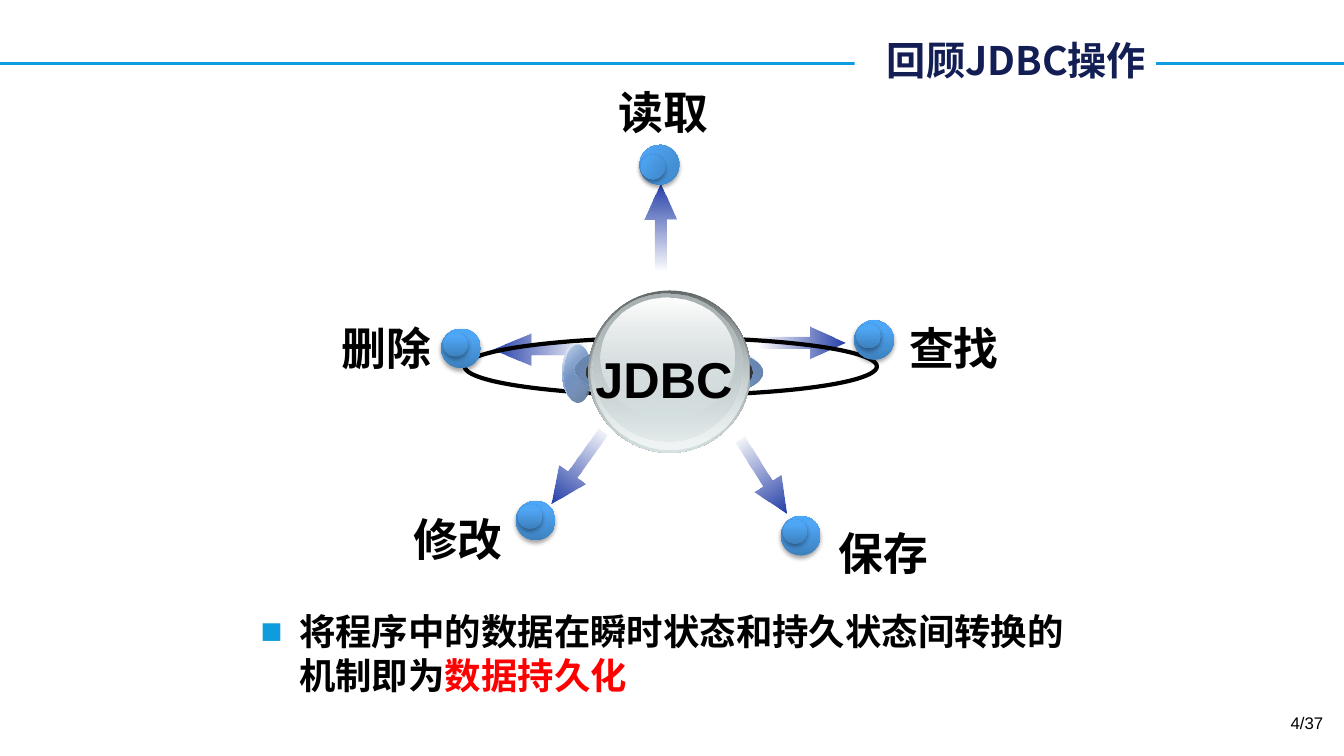
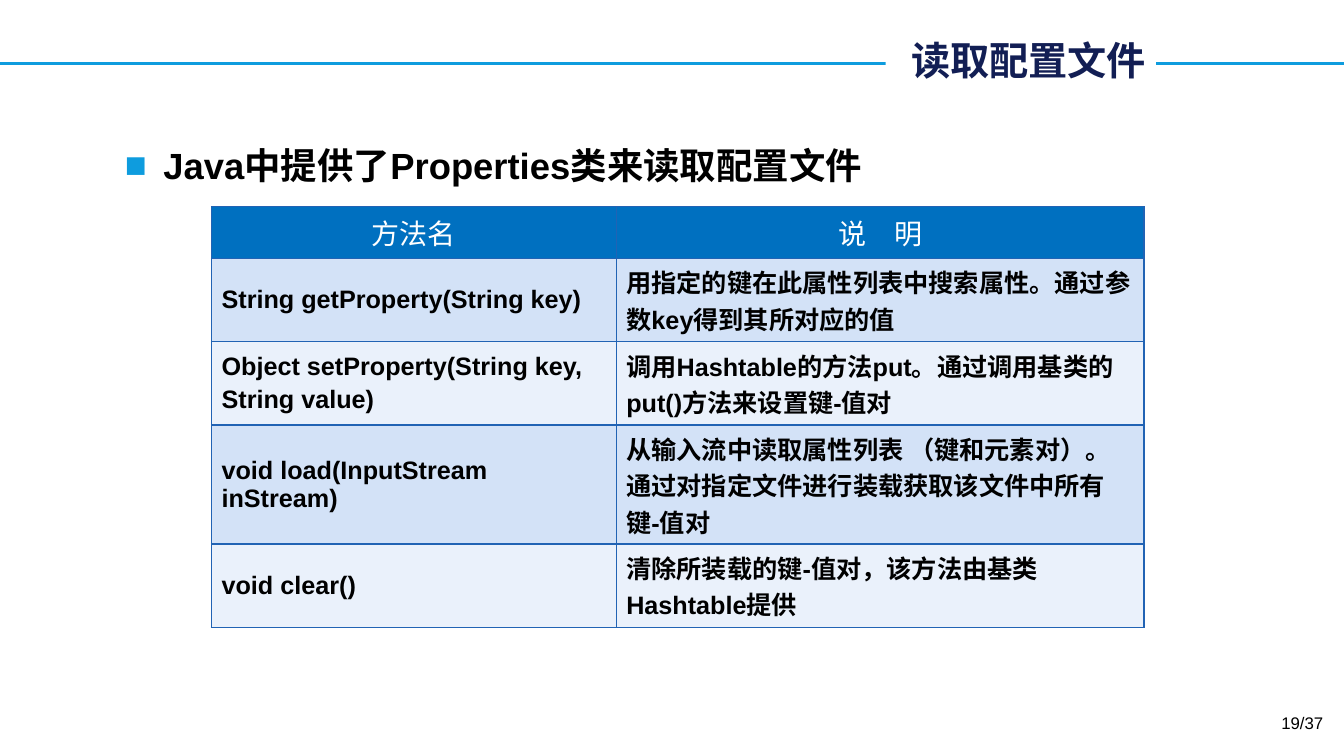
"""Build two slides on data storage in Java."""
from dataclasses import dataclass
from math import cos, radians, sin

from lxml import etree
from pptx import Presentation
from pptx.dml.color import RGBColor
from pptx.enum.shapes import MSO_CONNECTOR, MSO_SHAPE
from pptx.enum.text import MSO_ANCHOR, PP_ALIGN
from pptx.oxml.ns import qn
from pptx.util import Cm, Pt

LEFT, CENTER, RIGHT = PP_ALIGN.LEFT, PP_ALIGN.CENTER, PP_ALIGN.RIGHT
TOP, MIDDLE = MSO_ANCHOR.TOP, MSO_ANCHOR.MIDDLE
OVAL, ARROW = MSO_SHAPE.OVAL, MSO_SHAPE.RIGHT_ARROW
STRAIGHT = MSO_CONNECTOR.STRAIGHT


@dataclass(frozen=True)
class Theme:
    """Hold the colours, fonts and type sizes."""
    black: str = "000000"
    white: str = "FFFFFF"
    red: str = "FF0000"
    sky: str = "0E9CDE"
    navy: str = "121E54"
    head: str = "0070C0"
    edge: str = "2163B4"
    bands: tuple = ("D3E2F7", "EAF1FB")
    beam: tuple = ((0, "213AA1", 0), (100, "233DA9"))
    ball: tuple = ((0, "3D80BD"), (80, "4FA6F5"), (100, "4CA7F9"))
    latin: str = "Arial"
    asian: str = "Noto Sans CJK SC"
    hub: int = 36
    label: int = 32
    title: int = 28
    body: int = 26
    top: int = 20
    cell: int = 18
    foot: int = 12


THEME = Theme()
WIDE, HIGH = 33.87, 19.05
BALL, CORE = 1.0, 0.62
BEAM = 0.81

SPOKES = (
    ("删除", (8.33, 7.87), RIGHT, (11.62, 8.78), 0, (13.61, 8.81), 2.39, 180),
    ("修改", (10.13, 12.67), RIGHT, (13.5, 13.12), 0, (14.54, 11.79), 2.21, 125.6),
    ("读取", (15.34, 1.93), LEFT, (16.62, 4.15), 304.9, (16.65, 5.74), 2.21, 270),
    ("查找", (22.66, 7.87), LEFT, (22.03, 8.57), 0, (20.21, 8.64), 2.21, 0),
    ("保存", (20.88, 13.03), LEFT, (20.18, 13.5), 0, (19.24, 12.01), 2.21, 57.8),
)

ORBS = (
    ((14.17, 8.66, 0.71, 1.45), 45, ((0, "FFFFFF"), (50, "7DA0D3"), (100, "FFFFFF"))),
    ((14.2, 8.69, 0.71, 1.45), 45, ((0, "7DA0D3", 32), (100, "597297"))),
    ((14.53, 8.66, 4.7, 1.45), 315, ((0, "607BA2"), (50, "7DA0D3"), (100, "607BA2"))),
    ((14.48, 8.59, 4.7, 1.45), 45, ((0, "6783AD"), (100, "7DA0D3", 0))),
    ((14.76, 8.66, 4.22, 1.45), 0, ((0, "333333"), (100, "333333"))),
    ((14.83, 7.32, 4.09, 4.09), 90, ((0, "636869"), (100, "D6E1E2"))),
    ((14.88, 7.34, 3.99, 3.99), 90, ((0, "D6E1E2", 0), (100, "F1F5F5"))),
    ((14.94, 7.39, 3.78, 3.73), 90, ((0, "AAB2B3"), (100, "D6E1E2", 48))),
    ((15.14, 7.49, 3.38, 3.02), 90, ((0, "FFFFFF"), (100, "D6E1E2", 38))),
)

ROWS = (
    (("方法名",), ("说　明",), 1.3),
    (("String getProperty(String key)",),
     ("用指定的键在此属性列表中搜索属性。通过参数key得到其所对应的值",), 2.1),
    (("Object setProperty(String key,", "String value)"),
     ("调用Hashtable的方法put。通过调用基类的put()方法来设置键-值对",), 2.1),
    (("void load(InputStream inStream)",),
     ("从输入流中读取属性列表 （键和元素对）。通过对指定文件进行装载获取该文件中所有键-值对",), 3),
    (("void clear()",),
     ("清除所装载的键-值对，该方法由基类Hashtable提供",), 2.1),
)


def node(parent, tag, **attrs):
    """Add a drawing element and return it."""
    item = etree.SubElement(parent, qn("a:" + tag))
    for key, value in attrs.items():
        item.set(key, str(value))
    return item


def tint(parent, color, alpha=100):
    """Add a colour with its opacity in percent."""
    item = node(parent, "srgbClr", val=color)
    if alpha < 100:
        node(item, "alpha", val=alpha * 1000)


def write(para, text, size, color, bold=True, font=THEME.latin):
    """Add one run of text."""
    run = para.add_run()
    run.text = text
    run.font.size = Pt(size)
    run.font.bold = bold
    run.font.color.rgb = RGBColor.from_string(color)
    run.font.name = font
    node(run._r.get_or_add_rPr(), "ea", typeface=THEME.asian)


def box(slide, frame, align=LEFT, wrap=True, anchor=TOP, lead=None):
    """Add a text box and return it with its paragraph."""
    shape = slide.shapes.add_textbox(*map(Cm, frame))
    text = shape.text_frame
    text.word_wrap = wrap
    text.vertical_anchor = anchor
    para = text.paragraphs[0]
    para.alignment = align
    if lead:
        para.line_spacing = Pt(lead)
    return shape, para


def form(slide, kind, frame, stops=None, angle=0, turn=0):
    """Add a shape with a gradient or no fill, and no line."""
    shape = slide.shapes.add_shape(kind, *map(Cm, frame))
    shape.shadow.inherit = False
    shape.rotation = turn
    shape.line.fill.background()
    if not stops:
        shape.fill.background()
        return shape
    shape.fill.gradient()
    shape.fill.gradient_angle = -angle % 360
    chain = shape._element.spPr.find(".//" + qn("a:gsLst"))
    for old in list(chain):
        chain.remove(old)
    for place, *color in stops:
        tint(node(chain, "gs", pos=place * 1000), *color)
    return shape


def ring(slide, frame):
    """Add the black orbit."""
    shape = form(slide, OVAL, frame)
    shape.line.color.rgb = RGBColor.from_string(THEME.black)
    shape.line.width = Pt(3)


def beam(slide, mid, length, turn):
    """Add a fading arrow around its centre."""
    frame = (mid[0] - length / 2, mid[1] - BEAM / 2, length, BEAM)
    shape = form(slide, ARROW, frame, THEME.beam, 0, turn)
    shape.adjustments[0] = 0.35
    shape.adjustments[1] = 0.41 * length / BEAM


def ball(slide, mid, turn):
    """Add a ball with its core, turned as one."""
    arc = radians(turn)
    shift = (-0.14 * cos(arc) + 0.1 * sin(arc), -0.14 * sin(arc) - 0.1 * cos(arc))
    for size, part in ((BALL, (0, 0)), (CORE, shift)):
        spot = [at + move - size / 2 for at, move in zip(mid, part)]
        shape = form(slide, OVAL, (*spot, size, size), THEME.ball, 270, turn)
        effect = shape._element.spPr.find(qn("a:effectLst"))
        shade = node(effect, "outerShdw", blurRad=Pt(3.1), dist=Pt(1.8),
                     dir=5400000, rotWithShape=0)
        tint(shade, THEME.black, 35)


def point(slide, frame, runs):
    """Add a paragraph with a square bullet."""
    _, para = box(slide, frame, lead=31)
    props = para._p.get_or_add_pPr()
    props.set("marL", str(Cm(0.97)))
    props.set("indent", str(-Cm(0.97)))
    tint(node(props, "buClr"), THEME.sky)
    node(props, "buFont", typeface=THEME.latin)
    node(props, "buChar", char="■")
    for text, color in runs:
        write(para, text, THEME.body, color)


def page(deck, title, width, number):
    """Add a slide with its rule, title and page number."""
    slide = deck.slides.add_slide(deck.slide_layouts[6])
    rule = slide.shapes.add_connector(STRAIGHT, 0, Cm(1.59), Cm(WIDE), Cm(1.59))
    rule.line.color.rgb = RGBColor.from_string(THEME.sky)
    rule.line.width = Pt(2.25)
    node(rule._element.spPr, "effectLst")
    shape, para = box(slide, (29.13 - width, 0.79, width, 1.45), RIGHT, anchor=MIDDLE)
    shape.fill.solid()
    shape.fill.fore_color.rgb = RGBColor.from_string(THEME.white)
    write(para, title, THEME.title, THEME.navy, font=THEME.asian)
    _, para = box(slide, (25.7, 17.83, 7.9, 1.02), RIGHT)
    write(para, number, THEME.foot, THEME.black, False)
    return slide


def fill(cell, lines, head, color):
    """Fill one cell with text, borders and colour."""
    props = cell._tc.get_or_add_tcPr()
    for side in ("lnL", "lnR", "lnT", "lnB"):
        tint(node(node(props, side, w=Pt(1)), "solidFill"), THEME.edge)
    cell.fill.solid()
    cell.fill.fore_color.rgb = RGBColor.from_string(color)
    cell.vertical_anchor = MIDDLE
    for index, line in enumerate(lines):
        text = cell.text_frame
        para = text.add_paragraph() if index else text.paragraphs[0]
        if index:
            para.space_before = Pt(3)
        para.alignment = CENTER if head else LEFT
        write(para, line, THEME.top if head else THEME.cell,
              THEME.white if head else THEME.black, not head)


def grid(slide, left, top, widths):
    """Add the table of methods."""
    height = sum(row[-1] for row in ROWS)
    frame = map(Cm, (left, top, sum(widths), height))
    table = slide.shapes.add_table(len(ROWS), len(widths), *frame).table
    table.first_row = table.horz_banding = False
    for column, width in zip(table.columns, widths):
        column.width = Cm(width)
    for index, (*cells, tall) in enumerate(ROWS):
        table.rows[index].height = Cm(tall)
        color = THEME.bands[(index - 1) % 2] if index else THEME.head
        for place, lines in enumerate(cells):
            fill(table.cell(index, place), lines, index == 0, color)


def wheel(slide):
    """Add the hub with its five spokes."""
    for *_, mid, length, turn in SPOKES:
        beam(slide, mid, length, turn)
    ring(slide, (11.71, 8.51, 10.39, 1.45))
    for _, _, _, mid, turn, *_ in SPOKES:
        ball(slide, mid, turn)
    for frame, angle, stops in ORBS:
        form(slide, OVAL, frame, stops, angle)
    _, para = box(slide, (14.73, 8.61, 4.01, 1.8), CENTER, False, lead=44)
    write(para, "JDBC", THEME.hub, THEME.black)
    for text, spot, align, *_ in SPOKES:
        _, para = box(slide, (*spot, 2.79, 1.63), align, False, lead=41)
        write(para, text, THEME.label, THEME.black)


def main():
    """Build and save the deck."""
    deck = Presentation()
    deck.slide_width, deck.slide_height = Cm(WIDE), Cm(HIGH)
    slide = page(deck, "回顾JDBC操作", 7.59, "4/37")
    wheel(slide)
    point(slide, (6.32, 15.24, 21.23, 2.59), (
        ("将程序中的数据在瞬时状态和持久状态间转换的机制即为", THEME.black),
        ("数据持久化", THEME.red)))
    slide = page(deck, "读取配置文件", 6.81, "19/37")
    point(slide, (2.9, 3.48, 28.32, 1.5), (
        ("Java中提供了Properties类来读取配置文件", THEME.black),))
    grid(slide, 5.33, 5.21, (10.2, 13.3))
    deck.save("out.pptx")


if __name__ == "__main__":
    main()
